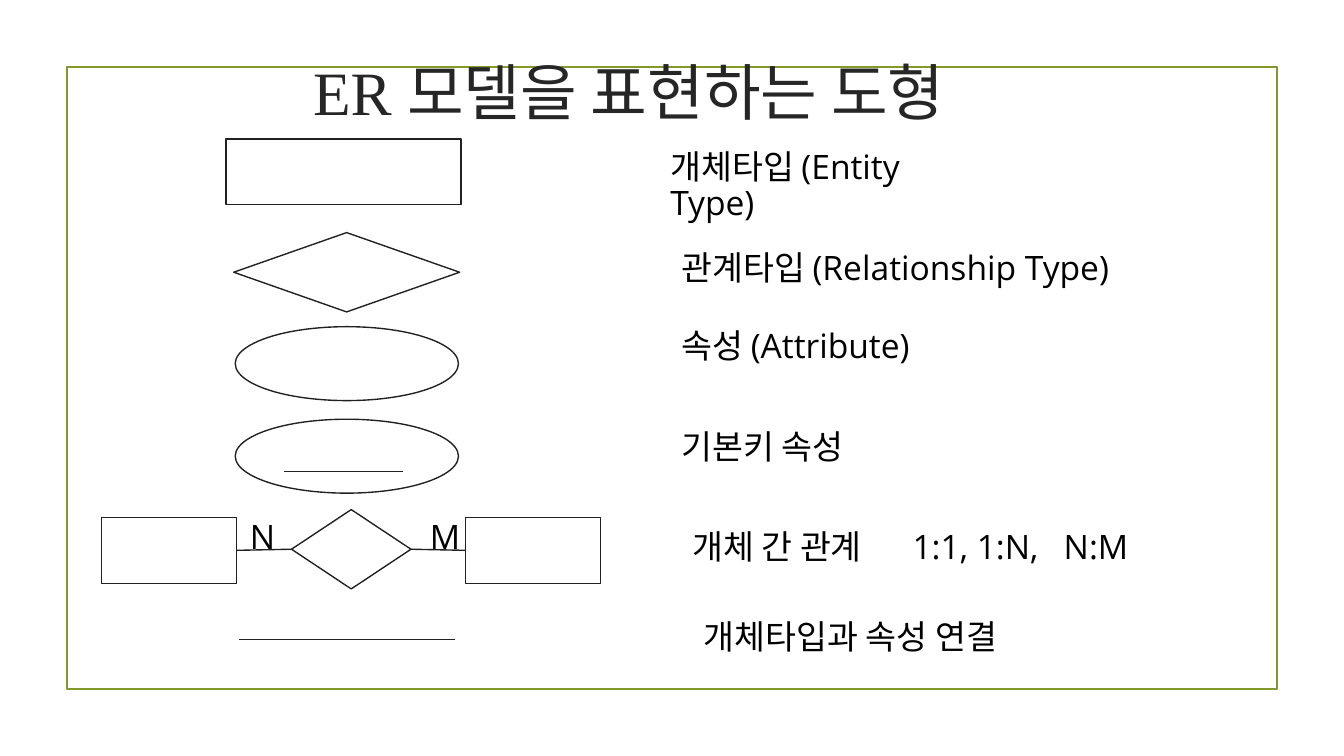
import pptx
import pptx.util
import pptx.dml.color
import pptx.enum.shapes
import pptx.enum.text
import pptx.oxml
import pptx.oxml.ns

Pt = pptx.util.Pt
RGBColor = pptx.dml.color.RGBColor
Kind = pptx.enum.shapes.MSO_SHAPE
qn = pptx.oxml.ns.qn

WHITE = RGBColor(0xFF, 0xFF, 0xFF)
BLACK = RGBColor(0x00, 0x00, 0x00)
INK = RGBColor(0x21, 0x21, 0x21)
GREY = RGBColor(0x26, 0x26, 0x26)
OLIVE = RGBColor(0x83, 0x99, 0x2A)


def write(frame, text, font="Open Sans", size=18, color=BLACK, tabs=()):
    """Put one formatted paragraph into a text frame."""
    para = frame.paragraphs[0]
    para.line_spacing = 0.9
    run = para.add_run()
    run.text = text
    run.font.name = font
    run.font.size = Pt(size)
    run.font.color.rgb = color
    if tabs:
        props = para._p.get_or_add_pPr()
        stops = pptx.oxml.parse_xml(
            '<a:tabLst xmlns:a="http://schemas.openxmlformats.org/drawingml/2006/main"/>')
        for stop in tabs:
            tab = stops.makeelement(qn("a:tab"), {"pos": str(Pt(stop)), "algn": "l"})
            stops.append(tab)
        props.append(stops)


class Sketch:
    """Holds the line style and the current slide."""

    def __init__(self, slide, line=INK, width=0.75, inset=7.2):
        self.slide = slide
        self.line = line
        self.width = width
        self.inset = inset

    def shape(self, kind, x, y, w, h, fill=WHITE, line=None, width=None):
        item = self.slide.shapes.add_shape(kind, Pt(x), Pt(y), Pt(w), Pt(h))
        item.shadow.inherit = False
        if fill is None:
            item.fill.background()
        else:
            item.fill.solid()
            item.fill.fore_color.rgb = fill
        item.line.color.rgb = line or self.line
        item.line.width = Pt(width or self.width)
        return item

    def rule(self, x1=0, x2=0, y=0, start=None, end=None):
        """Draw a level line, or join the right side of start to the left of end."""
        item = self.slide.shapes.add_connector(
            pptx.enum.shapes.MSO_CONNECTOR.STRAIGHT, Pt(x1), Pt(y), Pt(x2), Pt(y))
        if start is not None:
            item.begin_connect(start, 3)
        if end is not None:
            item.end_connect(end, 1)
        item.line.color.rgb = self.line
        item.line.width = Pt(self.width)
        props = item._element.spPr
        props.append(props.makeelement(qn("a:effectLst"), {}))
        return item

    def label(self, text, x, y, w, h, **style):
        box = self.slide.shapes.add_textbox(Pt(x), Pt(y), Pt(w), Pt(h))
        frame = box.text_frame
        frame.word_wrap = True
        frame.vertical_anchor = pptx.enum.text.MSO_ANCHOR.TOP
        frame.margin_left = frame.margin_right = Pt(self.inset)
        frame.margin_top = frame.margin_bottom = Pt(self.inset)
        write(frame, text, **style)
        return box


def main():
    deck = pptx.Presentation()
    deck.slide_width, deck.slide_height = Pt(720), Pt(405)
    sketch = Sketch(deck.slides.add_slide(deck.slide_layouts[6]))

    # Frame and title
    sketch.shape(Kind.RECTANGLE, 36, 36, 648, 333, fill=None, line=OLIVE, width=1.25)
    sketch.label("ER 모델을 표현하는 도형", 160.6, 26, 567, 53,
                 font="Times New Roman", size=33, color=GREY)

    # Single symbols: entity, relationship, attribute, key attribute
    sketch.shape(Kind.RECTANGLE, 121, 74.4, 126, 35.3)
    sketch.shape(Kind.DIAMOND, 125.2, 124.6, 121, 42.5)
    for y in (175, 224.6):
        sketch.shape(Kind.OVAL, 126, y, 119.6, 39.6)
    sketch.rule(152, 216, 252.7)

    # Two entities joined by a relationship
    bond = sketch.shape(Kind.DIAMOND, 156.2, 273, 64, 42.5)
    left, right = [sketch.shape(Kind.RECTANGLE, x, 277.2, 72.4, 35.3)
                   for x in (54.4, 249.5)]
    sketch.rule(start=left, end=bond)
    sketch.rule(start=bond, end=right)
    for text, x in (("N", 126.7), ("M", 223.2)):
        sketch.label(text, x, 271.4, 23, 23)

    # Link between entity and attribute
    sketch.rule(128.2, 244, 342.7)

    # Meaning of each symbol
    sketch.label("개체타입 (Entity Type)", 352, 73.4, 173.5, 30)
    for text, x, y, tabs in (
            ("관계타입 (Relationship Type)", 358, 127.4, ()),
            ("속성 (Attribute)", 358, 169.2, ()),
            ("기본키 속성", 358, 223.2, ()),
            ("개체 간 관계\t1:1, 1:N,\tN:M", 363.8, 277.2, (118, 199)),
            ("개체타입과 속성 연결", 370, 325.4, ())):
        sketch.label(text, x, y, 272, 30, tabs=tabs)

    deck.save("out.pptx")


if __name__ == "__main__":
    main()
